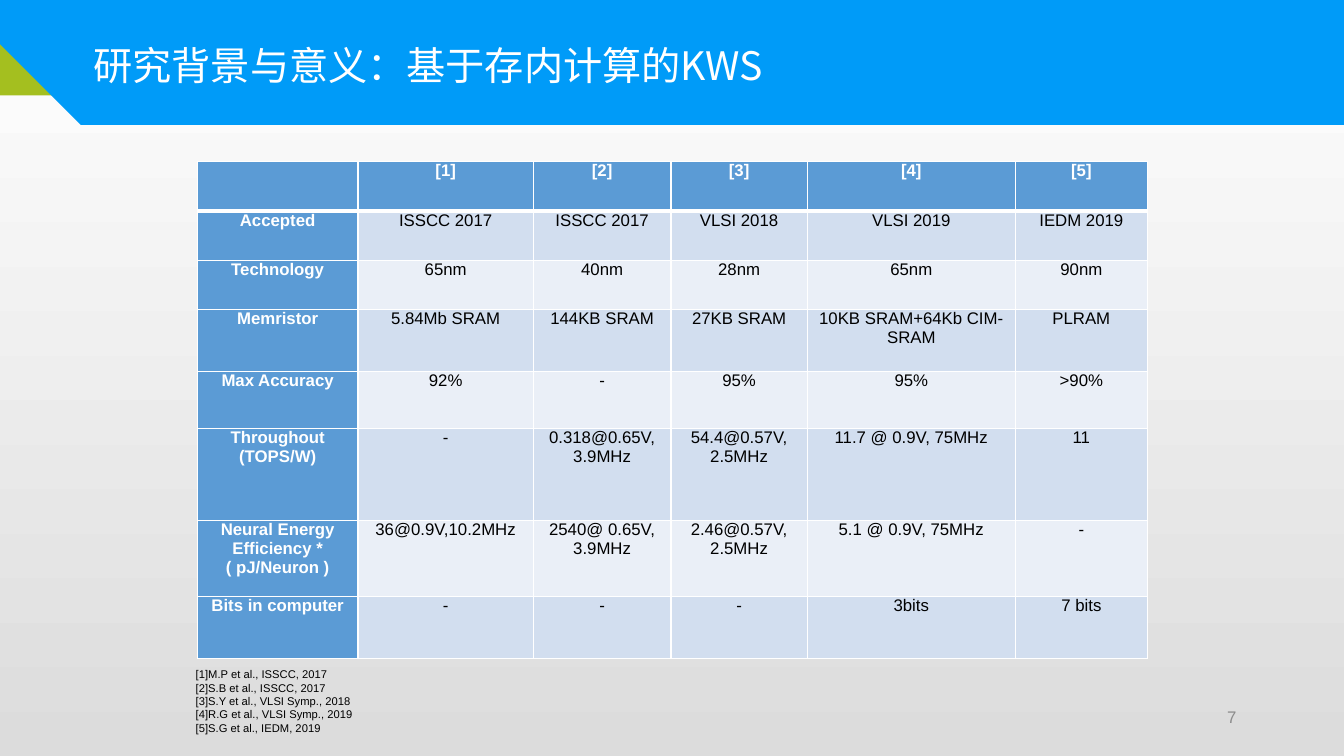
from lxml import etree
from pptx import Presentation
from pptx.dml.color import RGBColor
from pptx.enum.shapes import MSO_SHAPE
from pptx.enum.text import MSO_ANCHOR, PP_ALIGN
from pptx.oxml.ns import qn
from pptx.util import Emu, Pt

PX = 9525  # 96 px to the inch
RECTANGLE = MSO_SHAPE.RECTANGLE
TOP, MIDDLE = MSO_ANCHOR.TOP, MSO_ANCHOR.MIDDLE
LEFT, CENTER, RIGHT = PP_ALIGN.LEFT, PP_ALIGN.CENTER, PP_ALIGN.RIGHT
COLORS = {
    "white": "FFFFFF", "black": "000000", "gray": "DCDCDC", "number": "8C8C8C",
    "blue": "009BF8", "green": "A4BF1F",
    "header": "5B9BD5", "band": "D2DEEF", "light band": "EAEFF7",
}
LATIN_FONT, CHINESE_FONT = "Arial", "Noto Sans CJK SC"

TITLE = "研究背景与意义：基于存内计算的KWS"
COLUMN_WIDTHS = [153, 167, 131, 130, 198, 126]
ROW_HEIGHTS = [47, 47, 47, 59, 54, 88, 72, 59]
COMPARISON = [
    ["", "[1]", "[2]", "[3]", "[4]", "[5]"],
    ["Accepted", "ISSCC 2017", "ISSCC 2017", "VLSI 2018", "VLSI 2019", "IEDM 2019"],
    ["Technology", "65nm", "40nm", "28nm", "65nm", "90nm"],
    ["Memristor", "5.84Mb SRAM", "144KB SRAM", "27KB SRAM",
     "10KB SRAM+64Kb CIM-SRAM", "PLRAM"],
    ["Max Accuracy", "92%", "-", "95%", "95%", ">90%"],
    ["Throughout (TOPS/W)", "-", "0.318@0.65V,\n3.9MHz", "54.4@0.57V,\n2.5MHz",
     "11.7 @ 0.9V, 75MHz", "11"],
    ["Neural Energy Efficiency *\n( pJ/Neuron )", "36@0.9V,10.2MHz",
     "2540@ 0.65V,\n3.9MHz", "2.46@0.57V,\n2.5MHz", "5.1 @ 0.9V, 75MHz", "-"],
    ["Bits in computer", "-", "-", "-", "3bits", "7 bits"],
]
REFERENCES = [
    "[1]M.P et al., ISSCC, 2017",
    "[2]S.B et al., ISSCC, 2017",
    "[3]S.Y et al., VLSI Symp., 2018",
    "[4]R.G et al., VLSI Symp., 2019",
    "[5]S.G et al., IEDM, 2019",
]


def px(length):
    return Emu(length * PX)


def color(name):
    return RGBColor.from_string(COLORS[name])


def write_text(frame, text, size=12, font=LATIN_FONT, fill="black", bold=False,
               align=LEFT, space_before=0):
    """Write each line of text as one formatted paragraph."""
    for index, line in enumerate(text.split("\n")):
        paragraph = frame.add_paragraph() if index else frame.paragraphs[0]
        paragraph.alignment = align
        paragraph.space_before = Pt(space_before)
        run = paragraph.add_run()
        run.text = line
        run.font.size, run.font.name, run.font.bold = Pt(size), font, bold
        run.font.color.rgb = color(fill)
        east_asian = etree.SubElement(run.font._element, qn("a:ea"))
        east_asian.set("typeface", font)


def add_text(slide, box, text, wrap=True, anchor=TOP, inset=None, **text_format):
    frame = slide.shapes.add_textbox(*map(px, box)).text_frame
    frame.word_wrap, frame.vertical_anchor = wrap, anchor
    if inset is not None:
        frame.margin_left = frame.margin_right = px(inset)
        frame.margin_top = frame.margin_bottom = px(inset)
    write_text(frame, text, **text_format)


def paint(shape, fill):
    shape.shadow.inherit = False
    shape.fill.solid()
    shape.fill.fore_color.rgb = color(fill)
    shape.line.fill.background()


def set_borders(cell, top=1, bottom=1):
    """Draw white borders, with widths in points for top and bottom."""
    properties = cell._tc.get_or_add_tcPr()
    for side, width in (("L", 1), ("R", 1), ("T", top), ("B", bottom)):
        line = etree.SubElement(properties, qn("a:ln" + side), w=str(Pt(width)))
        solid = etree.SubElement(line, qn("a:solidFill"))
        etree.SubElement(solid, qn("a:srgbClr"), val=COLORS["white"])


def fill_background(slide):
    fill = slide.background.fill
    fill.gradient()
    fill.gradient_angle = 270
    for stop, name, position in zip(fill.gradient_stops, ("white", "gray"), (0, 1)):
        stop.color.rgb, stop.position = color(name), position


def add_header(slide, left, top, width, height):
    # Green corner behind the blue banner
    corner = slide.shapes.add_shape(
        RECTANGLE, px(0), px(top + 31), px(61), px(61))
    paint(corner, "green")

    # Blue banner with a slanted lower left corner
    right, bottom = left + width, top + height
    outline = [(right, top), (right, bottom), (77, bottom), (0, 42)]
    builder = slide.shapes.build_freeform(px(left), px(top))
    builder.add_line_segments([(px(x), px(y)) for x, y in outline], close=True)
    paint(builder.convert_to_shape(), "blue")

    add_text(slide, (left + 86, top + 35, 660, 55), TITLE, wrap=False, inset=5,
             size=28, font=CHINESE_FONT, fill="white", space_before=8)


def add_comparison(slide, left, top):
    width, height = sum(COLUMN_WIDTHS), sum(ROW_HEIGHTS)
    table = slide.shapes.add_table(
        len(ROW_HEIGHTS), len(COLUMN_WIDTHS),
        *map(px, (left, top, width, height))).table
    table.horz_banding = False
    for column, column_width in zip(table.columns, COLUMN_WIDTHS):
        column.width = px(column_width)
    for row, row_height in zip(table.rows, ROW_HEIGHTS):
        row.height = px(row_height)

    for i, values in enumerate(COMPARISON):
        for j, value in enumerate(values):
            cell = table.cell(i, j)
            heading = i == 0 or j == 0
            band = "band" if i % 2 else "light band"
            set_borders(cell, top=3 if i == 1 else 1, bottom=3 if i == 0 else 1)
            cell.fill.solid()
            cell.fill.fore_color.rgb = color("header" if heading else band)
            cell.margin_left = cell.margin_right = px(7)
            cell.margin_top = cell.margin_bottom = 0
            if value:
                write_text(cell.text_frame, value, align=CENTER, bold=heading,
                           fill="white" if heading else "black")


def add_footer(slide, left, top):
    add_text(slide, (left, top, 999, 74), "\n".join(REFERENCES), size=8)
    add_text(slide, (left + 727, top + 35, 283, 34), "7", anchor=MIDDLE,
             fill="number", align=RIGHT)


def main():
    presentation = Presentation()
    presentation.slide_width, presentation.slide_height = px(1280), px(720)
    slide = presentation.slides.add_slide(presentation.slide_layouts[6])
    fill_background(slide)
    add_header(slide, -2, -1, 1284, 120)
    add_footer(slide, 177, 631)
    add_comparison(slide, 188, 154)
    presentation.save("out.pptx")


if __name__ == "__main__":
    main()
